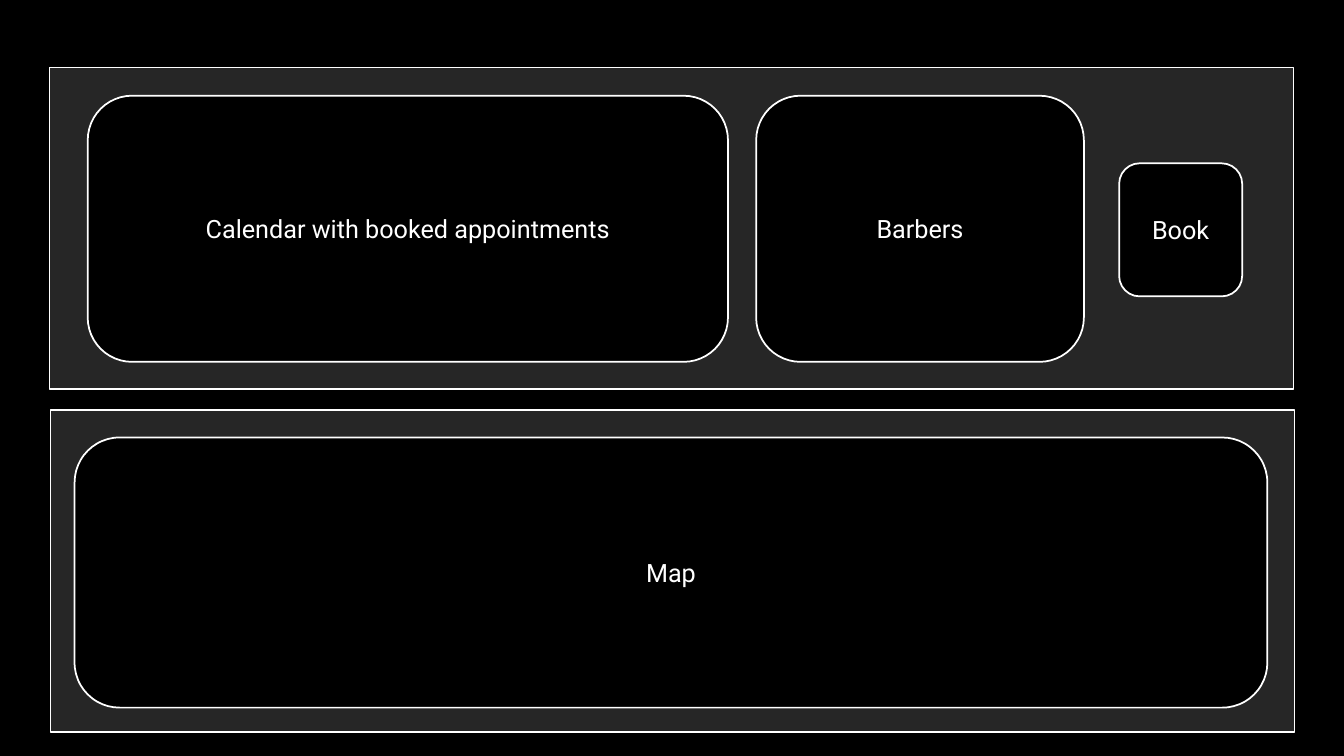
from pptx import Presentation
from pptx.dml.color import RGBColor
from pptx.enum.shapes import MSO_SHAPE as SHAPE
from pptx.enum.text import MSO_ANCHOR as ANCHOR, PP_ALIGN as ALIGN
from pptx.util import Inches, Pt

BLACK, GREY, WHITE = "000000", "262626", "FFFFFF"

PANELS = [
    (0.49, 0.67, 12.34, 3.19),
    (0.5, 4.07, 12.34, 3.19),
]
CARDS = [
    ("Calendar with booked appointments", 0.87, 0.95, 6.35, 2.64),
    ("Barbers", 7.5, 0.95, 3.25, 2.64),
    ("Book", 11.1, 1.62, 1.22, 1.32),
    ("Map", 0.74, 4.34, 11.83, 2.68),
]


def paint(fill, color):
    fill.solid()
    fill.fore_color.rgb = RGBColor.from_string(color)


def add_box(s, kind, box, color):
    """Add a filled shape with a thin white outline."""
    sp = s.shapes.add_shape(kind, *(Inches(v) for v in box))
    sp.shadow.inherit = False
    paint(sp.fill, color)
    paint(sp.line.fill, WHITE)
    sp.line.width = Pt(1.25)
    return sp


def add_card(s, label, box):
    """Add a black rounded box with a centred label."""
    sp = add_box(s, SHAPE.ROUNDED_RECTANGLE, box, BLACK)
    tf = sp.text_frame
    tf.word_wrap = True
    tf.vertical_anchor = ANCHOR.MIDDLE
    p = tf.paragraphs[0]
    p.alignment = ALIGN.CENTER
    r = p.add_run()
    r.text = label
    r.font.name = "Roboto"
    r.font.size = Pt(18)
    paint(r.font.fill, WHITE)


def main():
    prs = Presentation()
    prs.slide_width, prs.slide_height = Inches(13.33), Inches(7.5)
    s = prs.slides.add_slide(prs.slide_layouts[6])
    paint(s.background.fill, BLACK)
    for box in PANELS:
        add_box(s, SHAPE.RECTANGLE, box, GREY)
    for label, *box in CARDS:
        add_card(s, label, box)
    prs.save("out.pptx")


if __name__ == "__main__":
    main()
